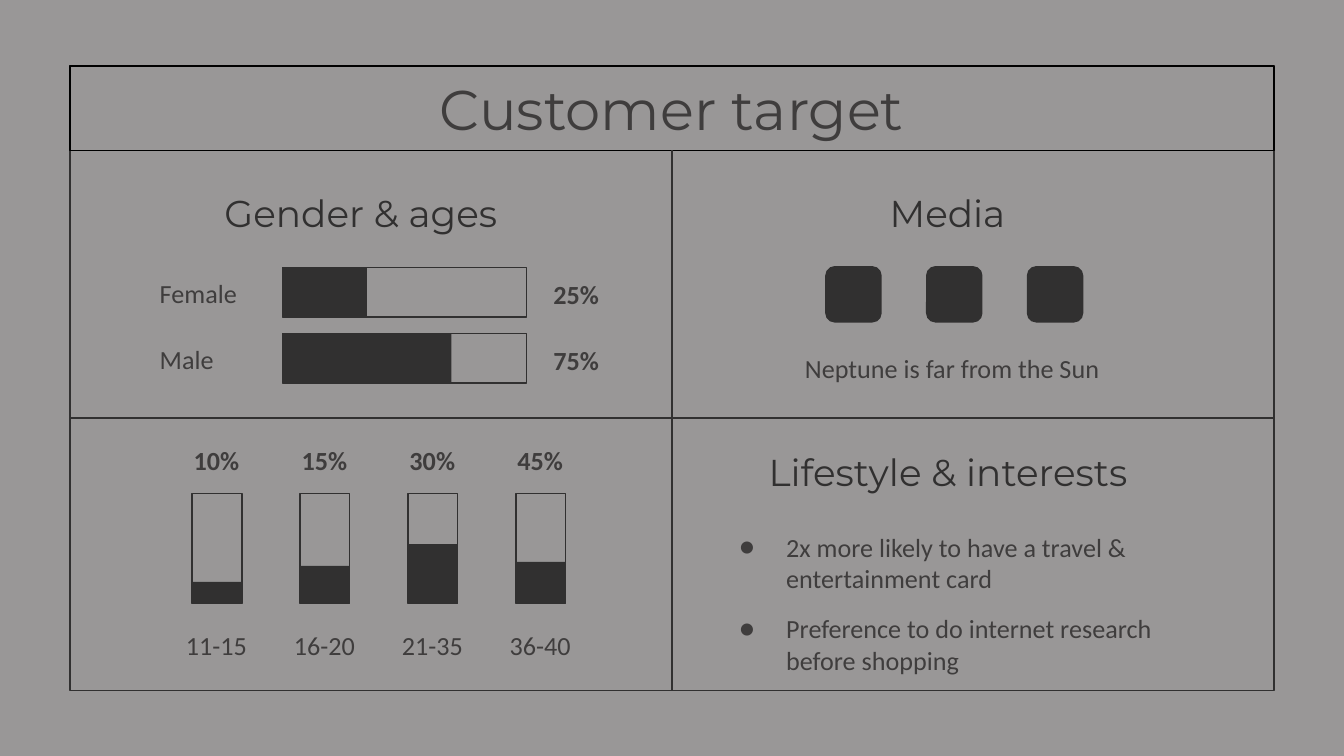
import pptx
import pptx.util
import pptx.dml.color
import pptx.enum.shapes
import pptx.enum.text
import lxml.etree
from collections import namedtuple
from dataclasses import dataclass
from pptx.oxml.ns import qn

Inches = pptx.util.Inches
SHAPES = pptx.enum.shapes.MSO_SHAPE
ALIGN = pptx.enum.text.PP_ALIGN
ANCHOR = pptx.enum.text.MSO_ANCHOR
Box = namedtuple("Box", "left top width height")


@dataclass(frozen=True)
class Theme:
    background: str = "999797"
    dark: str = "313030"
    text: str = "3F3D3D"
    black: str = "000000"
    heading_font: str = "Montserrat"
    body_font: str = "Calibri"
    title_size: int = 30
    heading_size: int = 20
    body_size: int = 14
    line_width: float = 0.75


THEME = Theme()


def color(value):
    return pptx.dml.color.RGBColor.from_string(value)


def inside(box, left, top, width, height):
    """A box given relative to the corner of another one."""
    return Box(box.left + left, box.top + top, width, height)


def apply_format(target, values):
    for name, value in values.items():
        setattr(target, name, value)


def write_text(shape, lines, align=ALIGN.CENTER, anchor=ANCHOR.MIDDLE,
               font=THEME.body_font, size=THEME.body_size, ink=THEME.text,
               bold=False, insets=(0.1, 0.1)):
    frame = shape.text_frame
    apply_format(frame, {
        "word_wrap": True, "vertical_anchor": anchor,
        "margin_left": Inches(insets[0]), "margin_right": Inches(insets[1]),
        "margin_top": Inches(0.1), "margin_bottom": Inches(0.1)})
    for index, line in enumerate(lines):
        paragraph = frame.add_paragraph() if index else frame.paragraphs[0]
        paragraph.alignment = align
        run = paragraph.add_run()
        run.text = line
        apply_format(run.font, {"name": font, "size": pptx.util.Pt(size), "bold": bold})
        run.font.color.rgb = color(ink)
    return frame


def add_text(slide, box, lines, **options):
    shape = slide.shapes.add_textbox(*map(Inches, box))
    return write_text(shape, lines, **options)


def add_heading(slide, box, text):
    add_text(slide, box, [text], font=THEME.heading_font,
             size=THEME.heading_size, ink=THEME.dark)


def add_block(slide, box, fill=None, line=None, kind=SHAPES.RECTANGLE):
    shape = slide.shapes.add_shape(kind, *map(Inches, box))
    shape.shadow.inherit = False
    if fill:
        shape.fill.solid()
        shape.fill.fore_color.rgb = color(fill)
    else:
        shape.fill.background()
    if line:
        shape.line.color.rgb = color(line)
        shape.line.width = pptx.util.Pt(THEME.line_width)
    else:
        shape.line.fill.background()
    return shape


def add_line(slide, start, end):
    line = slide.shapes.add_connector(
        pptx.enum.shapes.MSO_CONNECTOR.STRAIGHT, *map(Inches, start + end))
    line.line.color.rgb = color(THEME.dark)
    line.line.width = pptx.util.Pt(THEME.line_width)
    properties = line._element.find(qn("p:spPr"))
    lxml.etree.SubElement(properties, qn("a:effectLst"))
    return line


def add_title(slide, box):
    shape = add_block(slide, box, line=THEME.black)
    write_text(shape, ["Customer target"], font=THEME.heading_font, size=THEME.title_size)
    return shape


def add_gender(slide, box):
    add_heading(slide, inside(box, 0.62, 0.34, 3.09, 0.26), "Gender & ages")
    rows = [("Female", "25%", 0.63), ("Male", "75%", 1.26)]
    for index, (label, share, filled) in enumerate(rows):
        top = 0.88 + 0.49 * index
        add_block(slide, inside(box, 1.58, top, 1.82, 0.37), line=THEME.dark)
        add_block(slide, inside(box, 1.58, top, filled, 0.37), fill=THEME.dark)
        add_text(slide, inside(box, 0.57, top - 0.04, 0.96, 0.46), [label], align=ALIGN.LEFT)
        add_text(slide, inside(box, 3.5, top - 0.02, 0.63, 0.44), [share],
                 align=ALIGN.LEFT, anchor=ANCHOR.TOP, bold=True)


def add_ages(slide, box):
    columns = [("11-15", "10%", 0.16), ("16-20", "15%", 0.28),
               ("21-35", "30%", 0.44), ("36-40", "45%", 0.31)]
    pitch = 2.41 / (len(columns) - 1)
    for index, (age, share, filled) in enumerate(columns):
        left = 0.7 + pitch * index
        add_block(slide, inside(box, left + 0.21, 0.56, 0.37, 0.82), line=THEME.dark)
        add_block(slide, inside(box, left + 0.21, 1.38 - filled, 0.37, filled), fill=THEME.dark)
        add_text(slide, inside(box, left, 0.18, 0.78, 0.26), [share], bold=True)
        add_text(slide, inside(box, left, 1.56, 0.78, 0.26), [age])


def add_media(slide, box):
    add_heading(slide, inside(box, 1.16, 0.34, 1.78, 0.26), "Media")
    # Plain markers for the media channels
    for index in range(3):
        add_block(slide, inside(box, 1.14 + 0.75 * index, 0.87, 0.42, 0.42),
                  fill=THEME.dark, kind=SHAPES.ROUNDED_RECTANGLE)
    add_text(slide, inside(box, 0.54, 1.4, 3.09, 0.46), ["Neptune is far from the Sun"])


def add_interests(slide, box):
    add_heading(slide, inside(box, 0.14, 0.25, 3.83, 0.3), "Lifestyle & interests")
    frame = add_text(
        slide, inside(box, 0.05, 0.73, 4.43, 1.3),
        ["2x more likely to have a travel & entertainment card",
         "Preference to do internet research before shopping"],
        align=ALIGN.LEFT, insets=(0.3, 0.5))
    for paragraph in frame.paragraphs:
        properties = paragraph._p.get_or_add_pPr()
        properties.set("marL", str(Inches(0.5)))
        properties.set("indent", str(Inches(-0.35)))
        bullet_color = lxml.etree.SubElement(properties, qn("a:buClr"))
        lxml.etree.SubElement(bullet_color, qn("a:srgbClr"), val=THEME.text)
        lxml.etree.SubElement(properties, qn("a:buFont"), typeface=THEME.body_font)
        lxml.etree.SubElement(properties, qn("a:buChar"), char="●")
    apply_format(frame.paragraphs[1], {"space_before": pptx.util.Pt(10),
                                       "space_after": pptx.util.Pt(10)})


def main():
    presentation = pptx.Presentation()
    # Widescreen, 16 to 9
    presentation.slide_width = Inches(10)
    presentation.slide_height = Inches(10) * 9 // 16
    slide = presentation.slides.add_slide(presentation.slide_layouts[6])
    slide.background.fill.solid()
    slide.background.fill.fore_color.rgb = color(THEME.background)

    # Frame and title band
    frame_box = Box(0.52, 0.49, 8.96, 4.65)
    frame = add_block(slide, frame_box, line=THEME.dark)
    title = add_title(slide, frame_box._replace(height=0.63))

    # Four panels
    left, middle, right = 0.52, 5, 9.48
    top, center, bottom = 1.11, 3.11, 5.14
    add_gender(slide, Box(left, top, middle - left, center - top))
    add_media(slide, Box(middle, top, right - middle, center - top))
    add_ages(slide, Box(left, center, middle - left, bottom - center))
    add_interests(slide, Box(middle, center, right - middle, bottom - center))

    # Dividers
    divider = add_line(slide, (middle, top), (middle, bottom))
    divider.begin_connect(title, 2)
    divider.end_connect(frame, 2)
    add_line(slide, (left, center), (right, center))

    presentation.save("out.pptx")


if __name__ == "__main__":
    main()
